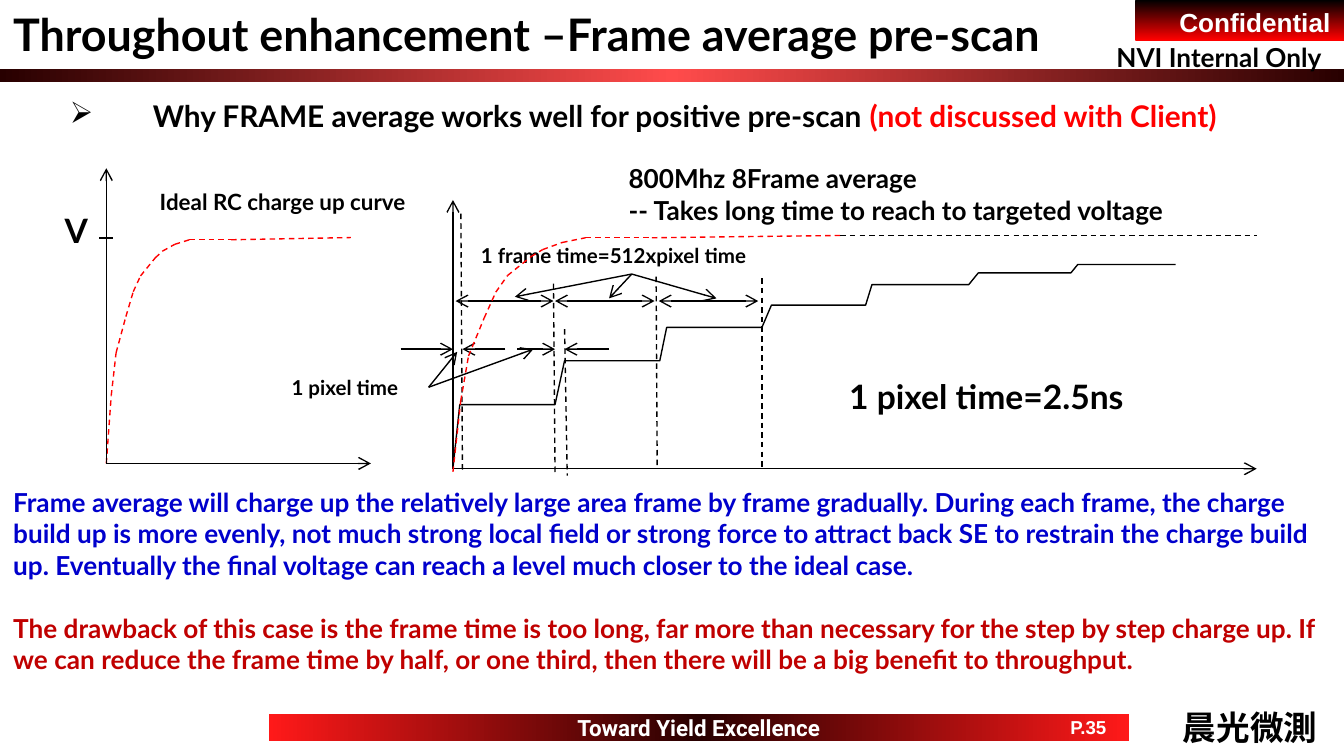
from itertools import pairwise

from lxml import etree
from pptx import Presentation
from pptx.dml.color import RGBColor
from pptx.enum.dml import MSO_LINE
from pptx.enum.shapes import MSO_CONNECTOR, MSO_SHAPE
from pptx.enum.text import MSO_ANCHOR, PP_ALIGN
from pptx.oxml.ns import qn
from pptx.util import Cm, Pt

BLACK = RGBColor(0x00, 0x00, 0x00)
WHITE = RGBColor(0xFF, 0xFF, 0xFF)
RED = RGBColor(0xFF, 0x00, 0x00)
BRIGHT_RED = RGBColor(0xFF, 0x19, 0x19)
GLOW_RED = RGBColor(0xFF, 0x4B, 0x4B)
DARK_MAROON = RGBColor(0x28, 0x00, 0x00)
BODY_BLUE = RGBColor(0x00, 0x00, 0xCC)
BODY_RED = RGBColor(0xC0, 0x00, 0x00)

LEFT, CENTER, RIGHT = PP_ALIGN.LEFT, PP_ALIGN.CENTER, PP_ALIGN.RIGHT
TOP, MIDDLE = MSO_ANCHOR.TOP, MSO_ANCHOR.MIDDLE
DASH = MSO_LINE.DASH
LINE_WIDTH = Pt(0.75)

# Shares of the full time and the full voltage along an RC charge-up
CHARGE_UP = [(0, 0), (0.02, 0.3), (0.04, 0.49), (0.08, 0.65), (0.11, 0.76),
             (0.14, 0.83), (0.2, 0.91), (0.23, 0.94), (0.28, 0.97),
             (0.34, 0.99), (0.51, 0.99), (1, 1)]

# Start, end and height of each step of the frame-by-frame charge-up, in cm
ORIGIN = (8.56, 8.86)
STEPS = [(8.69, 10.49, 7.65), (10.67, 12.47, 6.82), (12.6, 14.4, 6.19),
         (14.58, 16.36, 5.77), (16.48, 18.31, 5.38), (18.49, 20.24, 5.16),
         (20.37, 22.22, 5)]

FRAME_Y, PIXEL_Y = 5.69, 6.6
FRAME_SPANS = [(8.61, 10.46), (10.49, 12.37), (12.45, 14.33)]
PIXEL_ARROWS = [(7.57, 8.56), (9.55, 8.74), (9.78, 10.49), (11.51, 10.67)]
FRAME_BOUNDARIES = [(8.71, 4.04, 8.74, 8.92), (10.46, 5.36, 10.49, 8.97),
                    (10.67, 6.22, 10.72, 8.99), (12.4, 5.23, 12.42, 8.81),
                    (14.4, 5.26, 14.4, 8.84)]
LEADERS = {(11.94, 5.18): [(9.73, 5.61), (11.51, 5.64), (13.54, 5.64)],
           (8.1, 7.32): [(8.64, 6.65), (10.08, 6.6)]}


def write_text(frame, lines, size, color=BLACK, font="Lato", align=LEFT,
               anchor=TOP, wrap=True):
    frame.word_wrap = wrap
    frame.vertical_anchor = anchor
    for index, line in enumerate(lines):
        paragraph = frame.paragraphs[0] if index == 0 else frame.add_paragraph()
        paragraph.text = line
        paragraph.alignment = align
        paragraph.font.size = Pt(size)
        paragraph.font.name = font
        paragraph.font.bold = True
        paragraph.font.color.rgb = color


def add_text(slide, box, lines, size, **style):
    shape = slide.shapes.add_textbox(*map(Cm, box))
    write_text(shape.text_frame, lines, size, **style)
    return shape.text_frame


def add_gradient_bar(slide, box, colors, angle=0):
    """Add a rectangle whose colours are spread evenly along the angle."""
    shape = slide.shapes.add_shape(MSO_SHAPE.RECTANGLE, *map(Cm, box))
    shape.shadow.inherit = False
    shape.line.fill.background()
    shape.fill.gradient()
    gradient = shape._element.spPr.find(qn("a:gradFill"))
    stops = gradient.find(qn("a:gsLst"))
    for stop in list(stops):
        stops.remove(stop)
    for index, color in enumerate(colors):
        position = index * 100000 // (len(colors) - 1)
        stop = etree.SubElement(stops, qn("a:gs"), pos=str(position))
        etree.SubElement(stop, qn("a:srgbClr"), val=str(color))
    gradient.find(qn("a:lin")).set("ang", str(angle * 60000))
    return shape.text_frame


def add_line(shapes, start, end, color=BLACK, dash=None, arrows=()):
    """Draw a line; arrows names the ends (headEnd, tailEnd) with a tip."""
    line = shapes.add_connector(MSO_CONNECTOR.STRAIGHT,
                                *map(Cm, (*start, *end)))
    line.line.color.rgb = color
    line.line.width = LINE_WIDTH
    if dash:
        line.line.dash_style = dash
    outline = line.line._get_or_add_ln()
    for arrow in arrows:
        etree.SubElement(outline, qn(f"a:{arrow}"), type="arrow")
    etree.SubElement(line._element.spPr, qn("a:effectLst"))


def add_arrow(shapes, start, end):
    add_line(shapes, start, end, arrows=["tailEnd"])


def add_charge_curve(slide, left, bottom, width, height):
    group = slide.shapes.add_group_shape()
    points = [(left + time * width, bottom - voltage * height)
              for time, voltage in CHARGE_UP]
    for start, end in pairwise(points):
        add_line(group.shapes, start, end, RED, DASH)


def add_staircase(slide):
    points = [(Cm(x), Cm(y)) for start, end, y in STEPS for x in (start, end)]
    builder = slide.shapes.build_freeform(*map(Cm, ORIGIN))
    builder.add_line_segments(points, close=False)
    staircase = builder.convert_to_shape()
    staircase.shadow.inherit = False
    staircase.fill.background()
    staircase.line.color.rgb = BLACK
    staircase.line.width = LINE_WIDTH


def add_bullet_heading(slide):
    frame = add_text(slide, (1.07, 1.73, 22.56, 1.63), [""], 16)
    paragraph = frame.paragraphs[0]
    properties = paragraph._p.get_or_add_pPr()
    properties.set("marL", str(Cm(1.57)))
    properties.set("indent", str(-Cm(1.57)))
    bullet = etree.Element(qn("a:buChar"), char="➢")
    properties.insert(0, bullet)
    paragraph.add_run().text = ("Why FRAME average works well for positive "
                                "pre-scan ")
    remark = paragraph.add_run()
    remark.text = "(not discussed with Client)"
    remark.font.color.rgb = RED


def add_page_frame(slide):
    add_gradient_bar(slide, (0, 1.3, 25.4, 0.25),
                     [DARK_MAROON, GLOW_RED, DARK_MAROON])
    label = add_gradient_bar(slide, (21.46, 0, 3.94, 0.76), [BLACK, RED], 90)
    write_text(label, ["Confidential"], 14, WHITE, "Arial", RIGHT)
    footer = add_gradient_bar(slide, (5.08, 13.49, 16.26, 0.51),
                              [BRIGHT_RED, DARK_MAROON, BRIGHT_RED])
    write_text(footer, ["Toward Yield Excellence"], 12, WHITE, "Roboto",
               CENTER, MIDDLE, wrap=False)
    add_text(slide, (19.81, 13.49, 1.52, 0.51), ["P.35"], 10, color=WHITE,
             font="Arial", align=CENTER, anchor=MIDDLE, wrap=False)
    add_text(slide, (20.85, 0.66, 4.57, 0.86), ["NVI Internal Only"], 14,
             wrap=False)
    add_text(slide, (22.1, 13.23, 3.05, 1.02), ["晨光微測"], 18, font="Arial",
             align=CENTER, anchor=MIDDLE)


def add_ideal_diagram(slide):
    shapes = slide.shapes
    add_charge_curve(slide, 2.01, 8.76, 4.62, 4.27)
    add_arrow(shapes, (2.01, 8.76), (7.01, 8.76))
    add_arrow(shapes, (2.01, 8.76), (2.01, 3.18))
    add_line(shapes, (1.88, 4.5), (2.13, 4.5))
    add_text(slide, (0.97, 3.84, 0.76, 1.02), ["V"], 18)
    add_text(slide, (2.77, 3.43, 5.41, 1.27), ["Ideal RC charge up curve"], 12)


def add_frame_average_diagram(slide):
    shapes = slide.shapes
    add_arrow(shapes, ORIGIN, (23.75, 8.86))
    add_arrow(shapes, ORIGIN, (8.56, 3.78))
    add_staircase(slide)
    for x1, y1, x2, y2 in FRAME_BOUNDARIES:
        add_line(shapes, (x1, y1), (x2, y2), dash=DASH)
    for start, end in FRAME_SPANS:
        add_line(shapes, (start, FRAME_Y), (end, FRAME_Y),
                 arrows=["headEnd", "tailEnd"])
    for start, end in PIXEL_ARROWS:
        add_arrow(shapes, (start, PIXEL_Y), (end, PIXEL_Y))
    for start, ends in LEADERS.items():
        for end in ends:
            add_arrow(shapes, start, end)
    add_text(slide, (11.63, 2.95, 11.33, 1.45),
             ["800Mhz 8Frame average",
              "-- Takes long time to reach to targeted voltage"], 14)
    add_text(slide, (8.84, 4.47, 6.2, 0.74),
             ["1 frame time=512xpixel time"], 11)
    add_text(slide, (5.26, 6.96, 2.84, 0.74), ["1 pixel time"], 11)
    add_text(slide, (15.8, 6.99, 6.12, 1.02), ["1 pixel time=2.5ns"], 18,
             wrap=False)
    add_charge_curve(slide, 8.56, 8.92, 7.37, 4.47)
    add_line(shapes, (15.88, 4.45), (23.75, 4.45), dash=DASH)


def add_conclusion(slide):
    frame = add_text(slide, (0, 9.07, 25.4, 4.45), [
        "Frame average will charge up the relatively large area frame by frame "
        "gradually. During each frame, the charge build up is more evenly, not "
        "much strong local field or strong force to attract back SE to "
        "restrain the charge build up. Eventually the final voltage can reach "
        "a level much closer to the ideal case.",
        "The drawback of this case is the frame time is too long, far more "
        "than necessary for the step by step charge up. If we can reduce the "
        "frame time by half, or one third, then there will be a big benefit to "
        "throughput."], 14, color=BODY_BLUE)
    drawback = frame.paragraphs[1]
    drawback.space_before = Pt(17)
    drawback.font.color.rgb = BODY_RED


def main():
    presentation = Presentation()
    presentation.slide_width, presentation.slide_height = Cm(25.4), Cm(14.29)
    slide = presentation.slides.add_slide(presentation.slide_layouts[6])
    add_page_frame(slide)
    add_text(slide, (0, 0, 24.38, 1.27),
             ["Throughout enhancement –Frame average pre-scan"], 24)
    add_frame_average_diagram(slide)
    add_bullet_heading(slide)
    add_conclusion(slide)
    add_ideal_diagram(slide)
    presentation.save("out.pptx")


if __name__ == "__main__":
    main()
